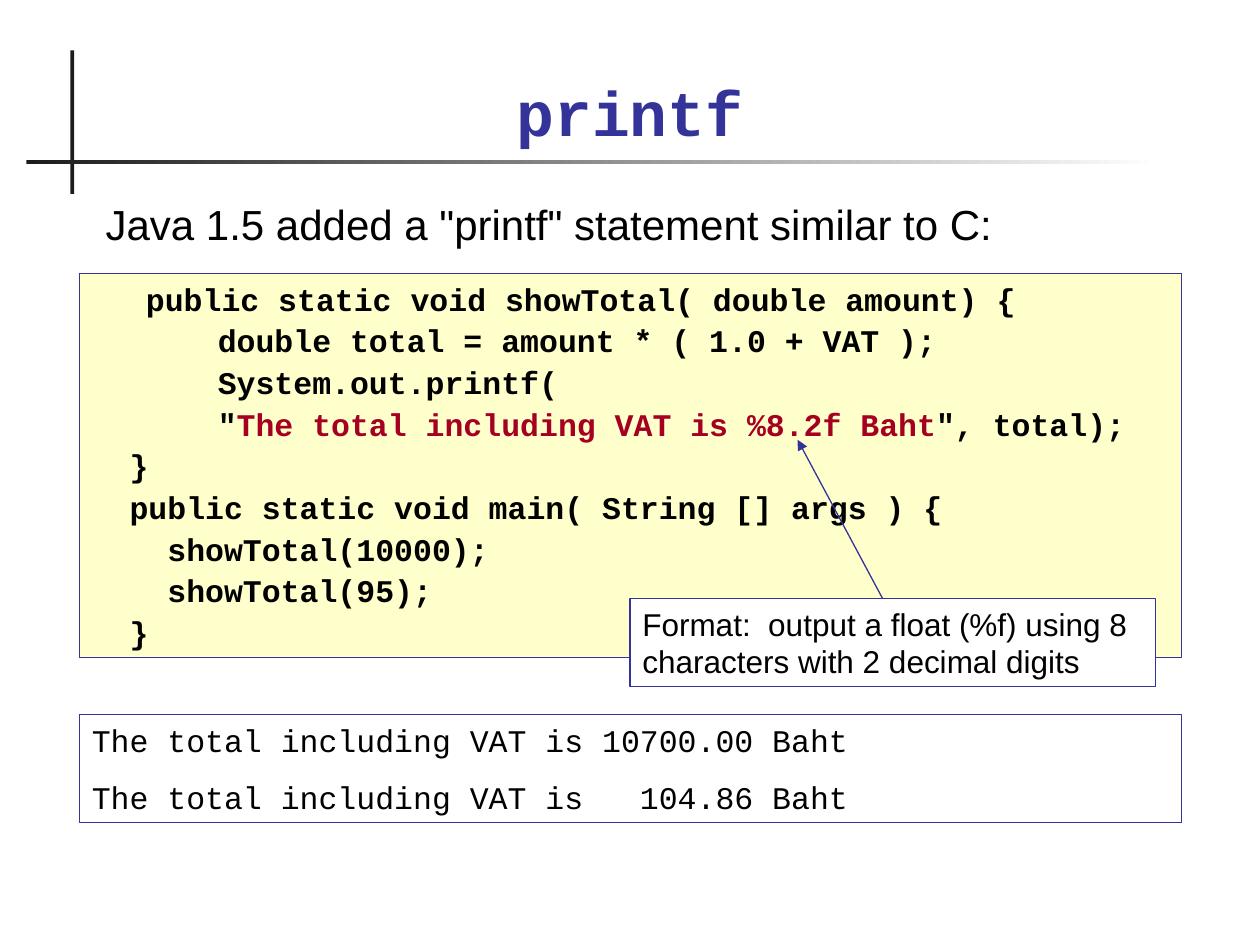
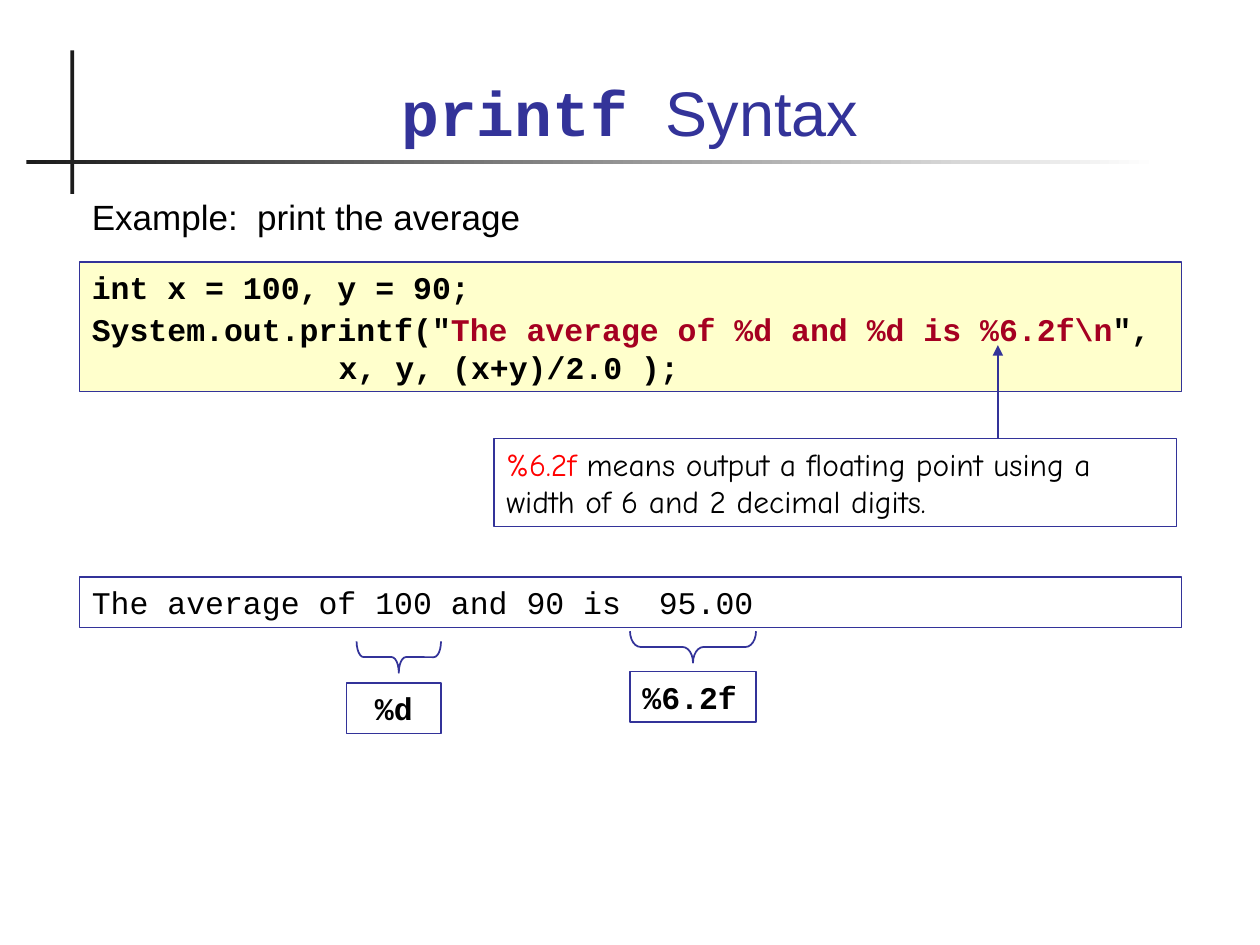
from lxml.etree import SubElement
from pptx import Presentation
from pptx.dml.color import RGBColor
from pptx.enum.shapes import MSO_CONNECTOR, MSO_SHAPE
from pptx.enum.text import MSO_ANCHOR, PP_ALIGN
from pptx.oxml.ns import qn
from pptx.util import Inches, Pt

COLORS = {
    "navy": "333399",
    "dark": "1C1C1C",
    "white": "FFFFFF",
    "black": "000000",
    "cream": "FFFFCC",
    "string": "A50021",
    "red": "FF0000",
}

# Font attributes for each kind of text; "color" is a key of COLORS.
TITLE = {"name": "Arial", "size": Pt(36), "bold": False, "color": "navy"}
TITLE_CODE = {**TITLE, "name": "Courier New", "bold": True}
NOTE = {"name": "Arial", "size": Pt(18), "bold": False, "color": "black"}
LEAD = {**NOTE, "size": Pt(24)}
EXAMPLE = {**NOTE, "size": Pt(20)}
OUTPUT = {**NOTE, "name": "Courier New"}
CODE = {**OUTPUT, "bold": True}
STRING = {**CODE, "color": "string"}
HAND = {**NOTE, "name": "Comic Neue"}
HAND_RED = {**HAND, "color": "red"}

BOX_LEFT, BOX_WIDTH = 0.63, 8.75
CODE_SPACING = 2.2
OUTPUT_SPACING = 11.2
METHOD_TABS = [0.43, 1, 2, 3]
DEFAULT_TABS = [round(0.49 * step, 2) for step in range(1, 8)]


def rgb(name):
    return RGBColor.from_string(COLORS[name])


def add_run(paragraph, text, style):
    run = paragraph.add_run()
    run.text = text
    for attribute, value in style.items():
        if attribute == "color":
            run.font.color.rgb = rgb(value)
        else:
            setattr(run.font, attribute, value)


def set_tabs(paragraph, positions):
    tab_list = SubElement(paragraph._p.get_or_add_pPr(), qn("a:tabLst"))
    for position in positions:
        SubElement(tab_list, qn("a:tab"), pos=str(Inches(position)), algn="l")


def write_text(shape, lines, spacing=0, align=PP_ALIGN.LEFT,
               anchor=MSO_ANCHOR.TOP, tabs=()):
    """Write lines, each a list of (text, style) runs; a newline breaks a line."""
    frame = shape.text_frame
    frame.word_wrap = True
    frame.vertical_anchor = anchor
    for index, runs in enumerate(lines):
        paragraph = frame.add_paragraph() if index else frame.paragraphs[0]
        paragraph.alignment = align
        paragraph.space_before = Pt(spacing if index else 0)
        if tabs:
            set_tabs(paragraph, tabs)
        for text, style in runs:
            if text == "\n":
                paragraph.add_line_break()
            else:
                add_run(paragraph, text, style)


def add_text(slide, area, lines, **layout):
    write_text(slide.shapes.add_textbox(*map(Inches, area)), lines, **layout)


def add_plain_shape(slide, kind, area):
    shape = slide.shapes.add_shape(kind, *map(Inches, area))
    shape.shadow.inherit = False
    return shape


def add_box(slide, area, lines, fill=None, **layout):
    box = add_plain_shape(slide, MSO_SHAPE.RECTANGLE, area)
    if fill:
        box.fill.solid()
        box.fill.fore_color.rgb = rgb(fill)
    else:
        box.fill.background()
    box.line.color.rgb = rgb("navy")
    box.line.width = Pt(0.75)
    write_text(box, lines, **layout)


def add_arrow(slide, start, end):
    points = map(Inches, (*start, *end))
    arrow = slide.shapes.add_connector(MSO_CONNECTOR.STRAIGHT, *points)
    arrow.line.color.rgb = rgb("navy")
    arrow.line.width = Pt(0.75)
    SubElement(arrow.line._get_or_add_ln(), qn("a:tailEnd"), type="triangle")
    SubElement(arrow._element.spPr, qn("a:effectLst"))


def add_brace(slide, left, top, span):
    """Draw a brace of the given span that points down."""
    depth = 0.25
    shift = (span - depth) / 2
    area = (left + shift, top - shift, depth, span)
    brace = add_plain_shape(slide, MSO_SHAPE.RIGHT_BRACE, area)
    brace.rotation = 90
    brace.adjustments[0] = span / depth / 12
    brace.fill.background()
    brace.line.color.rgb = rgb("navy")
    brace.line.width = Pt(1)


def add_title_slide_frame(presentation, title_runs):
    """Add a blank slide with the crossed rules and the title."""
    slide = presentation.slides.add_slide(presentation.slide_layouts[6])
    upright = add_plain_shape(slide, MSO_SHAPE.RECTANGLE, (0.56, 0.4, 0.03, 1.14))
    upright.fill.solid()
    upright.fill.fore_color.rgb = rgb("dark")
    level = add_plain_shape(slide, MSO_SHAPE.RECTANGLE, (0.21, 1.27, 8.99, 0.03))
    level.fill.gradient()
    level.fill.gradient_angle = 0
    for stop, color in zip(level.fill.gradient_stops, ("dark", "white")):
        stop.color.rgb = rgb(color)
    for rule in (upright, level):
        rule.line.fill.background()
    add_text(slide, (0.67, 0.28, 8.66, 0.95), [title_runs],
             align=PP_ALIGN.CENTER, anchor=MSO_ANCHOR.BOTTOM)
    return slide


def build_printf_slide(presentation):
    slide = add_title_slide_frame(presentation, [("printf", TITLE_CODE)])
    add_text(slide, (0.74, 1.53, 8.66, 0.64),
             [[('Java 1.5 added a "printf" statement similar to C:', LEAD)]])
    method_lines = [
        [("  \tpublic static void showTotal( double amount) {", CODE)],
        [("    \tdouble total = amount * ( 1.0 + VAT );", CODE)],
        [("    \tSystem.out.printf(", CODE)],
        [('\t\t"', CODE), ("The total including VAT is %8.2f Baht", STRING),
         ('", total);', CODE)],
        [("  }", CODE)],
        [("  public static void main( String [] args ) {", CODE)],
        [("    showTotal(10000);", CODE)],
        [("    showTotal(95);", CODE)],
        [("  }", CODE)],
    ]
    add_box(slide, (BOX_LEFT, 2.17, BOX_WIDTH, 3.05), method_lines,
            fill="cream", spacing=CODE_SPACING, tabs=METHOD_TABS)
    totals = ("10700.00", "  104.86")
    add_box(slide, (BOX_LEFT, 5.67, BOX_WIDTH, 0.86),
            [[(f"The total including VAT is {total} Baht", OUTPUT)]
             for total in totals], spacing=OUTPUT_SPACING)
    add_arrow(slide, (7.01, 4.76), (6.33, 3.49))
    explanation = ("Format:  output a float (%f) using 8 characters "
                   "with 2 decimal digits")
    add_box(slide, (5, 4.75, 4.17, 0.7), [[(explanation, NOTE)]], fill="white")


def build_syntax_slide(presentation):
    slide = add_title_slide_frame(
        presentation, [("printf ", TITLE_CODE), ("Syntax", TITLE)])
    add_text(slide, (BOX_LEFT, 1.5, BOX_WIDTH, 0.44),
             [[("Example:  print the average", EXAMPLE)]])
    average_lines = [
        [("int x = 100, y = 90;", CODE)],
        [('System.out.printf("', CODE),
         ("The average of %d and %d is %6.2f\\n", STRING),
         ('",', CODE), ("\n", CODE), ("\t\t\t\tx, y, (x+y)/2.0 );", CODE)],
    ]
    add_box(slide, (BOX_LEFT, 2.08, BOX_WIDTH, 1.03), average_lines,
            fill="cream", spacing=CODE_SPACING, tabs=DEFAULT_TABS)
    add_arrow(slide, (7.92, 3.51), (7.92, 2.74))
    meaning = ("means output a floating point using a width of 6 "
               "and 2 decimal digits.")
    add_box(slide, (3.92, 3.48, 5.42, 0.7),
            [[("%6.2f ", HAND_RED), (meaning, HAND)]], fill="white")
    add_box(slide, (BOX_LEFT, 4.58, BOX_WIDTH, 0.4),
            [[("The average of 100 and 90 is  95.00", OUTPUT)]])
    add_brace(slide, 5, 5.01, 1)
    add_box(slide, (5, 5.33, 1, 0.4), [[("%6.2f", CODE)]])
    add_brace(slide, 2.83, 5.09, 0.67)
    add_box(slide, (2.75, 5.42, 0.75, 0.4), [[("%d", CODE)]],
            align=PP_ALIGN.CENTER)


def main():
    presentation = Presentation()
    presentation.slide_width = Inches(10)
    presentation.slide_height = Inches(7.5)
    build_printf_slide(presentation)
    build_syntax_slide(presentation)
    presentation.save("out.pptx")


if __name__ == "__main__":
    main()
